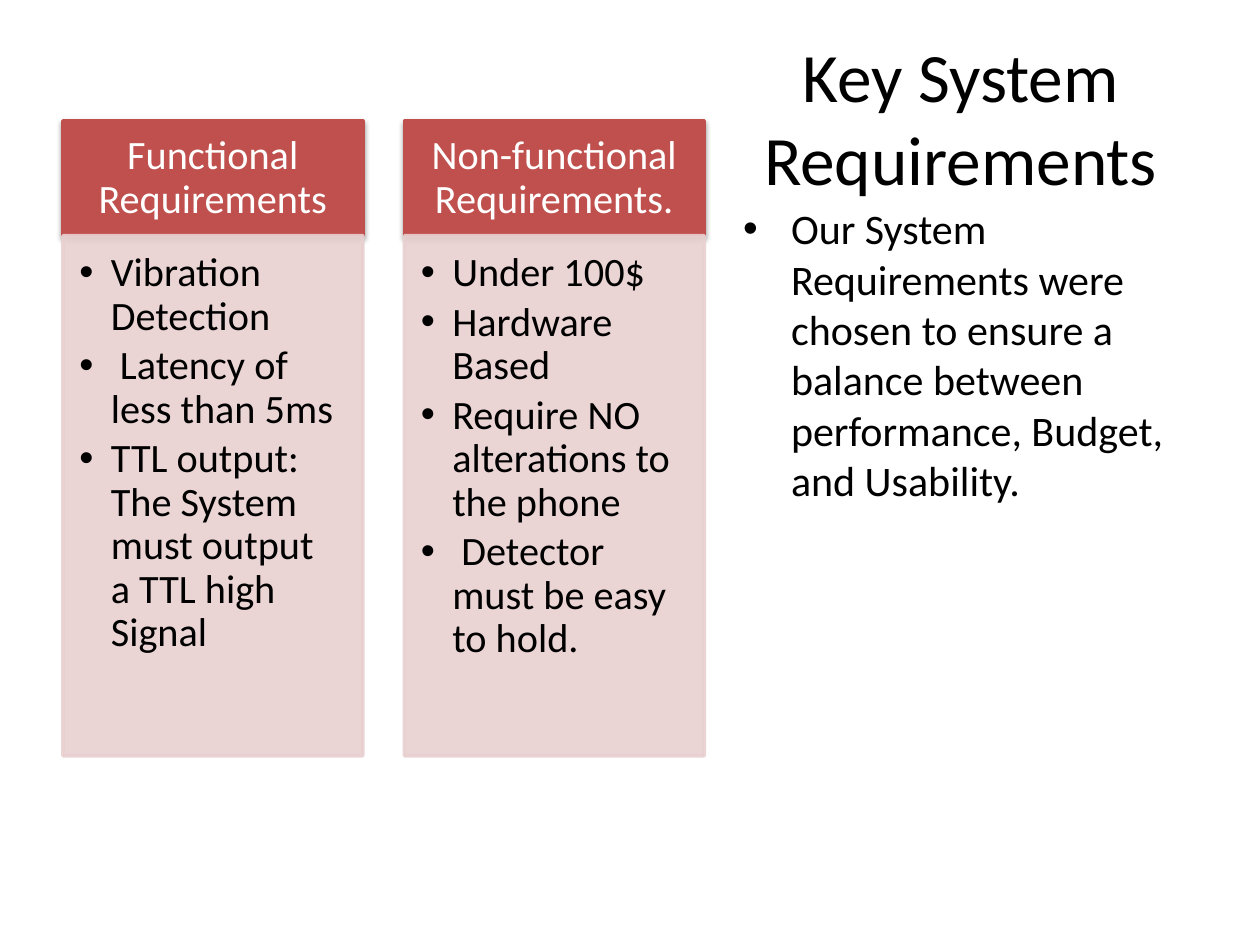
"""Build the key system requirements slide with two requirement columns."""
from dataclasses import dataclass

from lxml import etree
from pptx import Presentation
from pptx.dml.color import RGBColor
from pptx.enum import shapes, text
from pptx.oxml import ns
from pptx.util import Inches, Pt


@dataclass(frozen=True)
class Theme:
    """Colours and type sizes of the slide."""
    font: str = "Calibri"
    ink: str = "000000"
    white: str = "FFFFFF"
    red: str = "C0504D"
    pink: str = "E8D0D0"
    title_size: float = 39.6
    body_size: float = 24
    column_size: float = 23
    column_spacing: float = 0.9
    item_gap: float = 3.45
    outline: float = 2
    panel_alpha: int = 90


@dataclass(frozen=True)
class Box:
    """Left, top, width and height in inches."""
    left: float
    top: float
    width: float
    height: float

    def lengths(self) -> tuple:
        """Return the four measures as lengths."""
        return tuple(Inches(v) for v in (self.left, self.top, self.width, self.height))


@dataclass(frozen=True)
class Column:
    """A heading and the requirements below it."""
    heading: str
    items: tuple[str, ...]


THEME = Theme()
COLUMNS = (
    Column("Functional Requirements", (
        "Vibration Detection",
        " Latency of less than 5ms",
        "TTL output: The System must output a TTL high Signal",
    )),
    Column("Non-functional Requirements.", (
        "Under 100$",
        "Hardware Based",
        "Require NO alterations to the phone",
        " Detector must be easy to hold.",
    )),
)
RATIONALE = ("Our System Requirements were chosen to ensure a balance between "
             "performance, Budget, and Usability.")
COLUMN_LEFT, COLUMN_TOP, COLUMN_WIDTH, COLUMN_PITCH = 0.5, 0.96, 2.38, 2.71
HEADING_HEIGHT, PANEL_HEIGHT = 0.91, 4.13


def style(paragraph, size: float, color: str) -> None:
    """Format every run of a paragraph."""
    for run in paragraph.runs:
        run.font.name = THEME.font
        run.font.size = Pt(size)
        run.font.color.rgb = RGBColor.from_string(color)


def add_bullet(paragraph, indent: float) -> None:
    """Give a paragraph a round bullet with a hanging indent."""
    properties = paragraph._p.get_or_add_pPr()
    properties.set("marL", str(Inches(indent)))
    properties.set("indent", str(-Inches(indent)))
    etree.SubElement(properties, ns.qn("a:buFont"), typeface="Arial")
    etree.SubElement(properties, ns.qn("a:buChar"), char="•")


def set_insets(frame, left: float, top: float, right: float, bottom: float) -> None:
    """Set the text margins in inches."""
    frame.margin_left, frame.margin_top = Inches(left), Inches(top)
    frame.margin_right, frame.margin_bottom = Inches(right), Inches(bottom)


def add_block(slide, box: Box, color: str):
    """Add a plain rectangle with a matching outline."""
    block = slide.shapes.add_shape(shapes.MSO_SHAPE.RECTANGLE, *box.lengths())
    block.shadow.inherit = False
    block.fill.solid()
    block.fill.fore_color.rgb = RGBColor.from_string(color)
    block.line.color.rgb = RGBColor.from_string(color)
    block.line.width = Pt(THEME.outline)
    block.text_frame.word_wrap = True
    return block


def add_shadow(block) -> None:
    """Drop a soft shadow below a block."""
    effects = block._element.spPr.find(ns.qn("a:effectLst"))
    shadow = etree.SubElement(effects, ns.qn("a:outerShdw"), blurRad=str(Pt(3.1)),
                              dist=str(Pt(1.6)), dir="5400000", rotWithShape="0")
    color = etree.SubElement(shadow, ns.qn("a:srgbClr"), val=THEME.ink)
    etree.SubElement(color, ns.qn("a:alpha"), val="38000")


def add_heading(slide, box: Box, words: str) -> None:
    """Add the red heading of a column."""
    heading = add_block(slide, box, THEME.red)
    add_shadow(heading)
    frame = heading.text_frame
    set_insets(frame, 0.18, 0.1, 0.18, 0.1)
    frame.vertical_anchor = text.MSO_ANCHOR.MIDDLE
    frame.text = words
    paragraph = frame.paragraphs[0]
    paragraph.alignment = text.PP_ALIGN.CENTER
    paragraph.line_spacing = THEME.column_spacing
    style(paragraph, THEME.column_size, THEME.white)


def add_panel(slide, box: Box, items: tuple[str, ...]) -> None:
    """Add the translucent panel with its bulleted requirements."""
    panel = add_block(slide, box, THEME.pink)
    for color in panel._element.spPr.iter(ns.qn("a:srgbClr")):
        etree.SubElement(color, ns.qn("a:alpha"), val=str(THEME.panel_alpha * 1000))
    frame = panel.text_frame
    set_insets(frame, 0.13, 0.13, 0.18, 0.2)
    frame.vertical_anchor = text.MSO_ANCHOR.TOP
    frame.text = "\n".join(items)
    for paragraph in frame.paragraphs:
        add_bullet(paragraph, 0.25)
        paragraph.alignment = text.PP_ALIGN.LEFT
        paragraph.line_spacing = THEME.column_spacing
        paragraph.space_after = Pt(THEME.item_gap)
        style(paragraph, THEME.column_size, THEME.ink)


def add_title(slide, box: Box, words: str) -> None:
    """Place and format the title placeholder."""
    title = slide.shapes.title
    title.left, title.top, title.width, title.height = box.lengths()
    frame = title.text_frame
    frame.text = words
    frame.word_wrap = True
    frame.auto_size = text.MSO_AUTO_SIZE.NONE
    frame.vertical_anchor = text.MSO_ANCHOR.MIDDLE
    frame.paragraphs[0].alignment = text.PP_ALIGN.CENTER
    style(frame.paragraphs[0], THEME.title_size, THEME.ink)


def add_rationale(slide, box: Box, words: str) -> None:
    """Add the bulleted explanation under the title."""
    frame = slide.shapes.add_textbox(*box.lengths()).text_frame
    frame.word_wrap = True
    frame.text = words
    add_bullet(frame.paragraphs[0], 0.38)
    style(frame.paragraphs[0], THEME.body_size, THEME.ink)


def main() -> None:
    """Build and save the slide."""
    deck = Presentation()
    deck.slide_width, deck.slide_height = Inches(10), Inches(7.5)
    slide = deck.slides.add_slide(deck.slide_layouts[5])
    add_title(slide, Box(5.75, 0.3, 3.75, 1.25), "Key System Requirements")
    add_rationale(slide, Box(5.8, 1.56, 3.7, 5.14), RATIONALE)
    for index, column in enumerate(COLUMNS):
        left = COLUMN_LEFT + index * COLUMN_PITCH
        add_heading(slide, Box(left, COLUMN_TOP, COLUMN_WIDTH, HEADING_HEIGHT), column.heading)
        add_panel(slide, Box(left, COLUMN_TOP + HEADING_HEIGHT, COLUMN_WIDTH, PANEL_HEIGHT),
                  column.items)
    deck.save("out.pptx")


if __name__ == "__main__":
    main()
